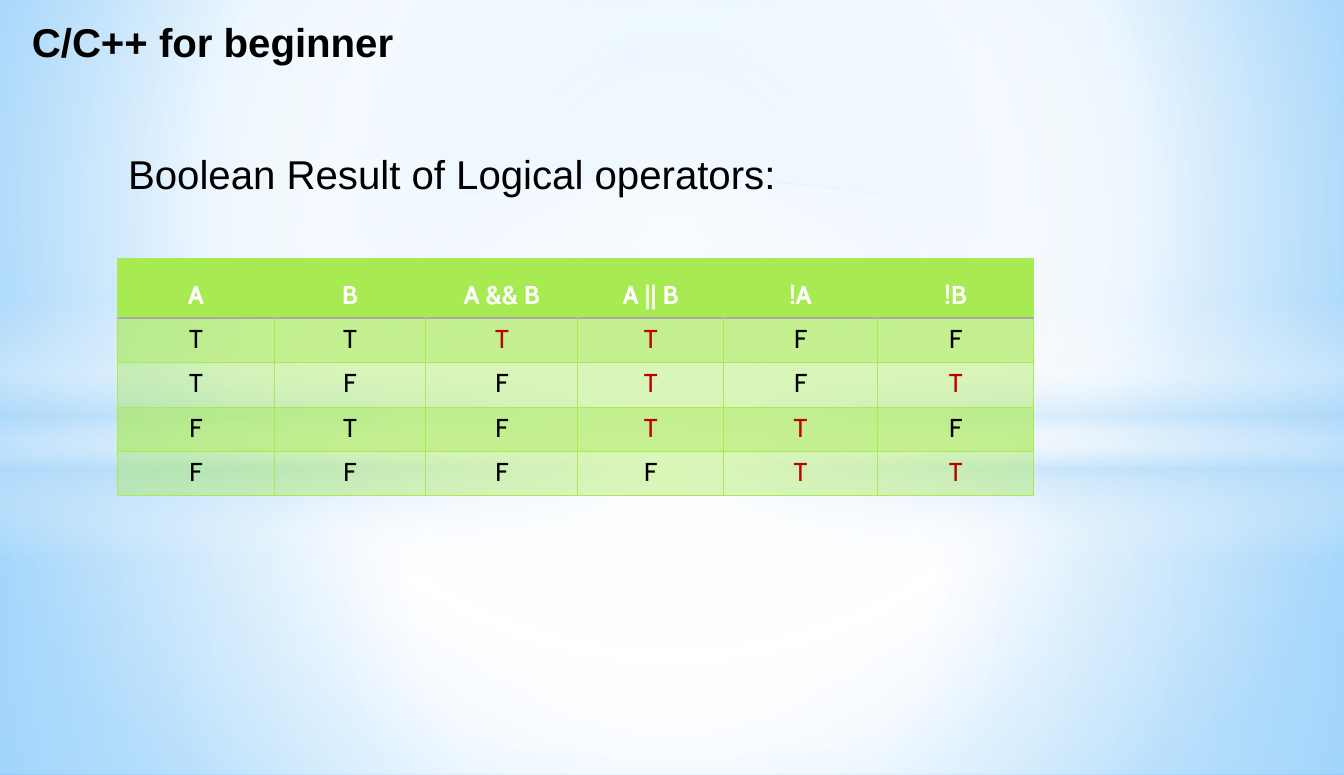
import pptx
import pptx.dml.color
import pptx.enum.shapes
import pptx.enum.text
import pptx.oxml
import pptx.oxml.ns
import pptx.util

Inches = pptx.util.Inches
Pt = pptx.util.Pt
RGBColor = pptx.dml.color.RGBColor
Shape = pptx.enum.shapes.MSO_SHAPE
Align = pptx.enum.text.PP_ALIGN
qn = pptx.oxml.ns.qn
NAMESPACE = pptx.oxml.ns.nsdecls("a")

BLACK = RGBColor(0x00, 0x00, 0x00)
WHITE = RGBColor(0xFF, 0xFF, 0xFF)
RED = RGBColor(0xC0, 0x00, 0x00)
GREEN = RGBColor(0xA7, 0xEA, 0x52)
GREY = RGBColor(0xA9, 0xA9, 0xA9)
SKY = RGBColor(0x9E, 0xD5, 0xFF)
BLUE = RGBColor(0x5B, 0xB9, 0xFF)
HAZE = RGBColor(0xB4, 0xDC, 0xFA)

CENTER = (50, 50, 50, 50)
HEADINGS = ["A", "B", "A && B", "A || B", "!A", "!B"]
TRUTH_ROWS = ["TTTTFF", "TFFTFT", "FTFTTF", "FFFFTT"]
COLUMN_WIDTHS = [1.51, 1.47, 1.47, 1.41, 1.49, 1.51]
HEADER_HEIGHT, ROW_HEIGHT = 0.58, 0.43


def write_text(frame, text, *, font, size, color=BLACK, bold=False,
               align=Align.LEFT, line_spacing=1.0, space_before=0):
    paragraph = frame.paragraphs[0]
    paragraph.alignment = align
    paragraph.line_spacing = line_spacing
    paragraph.space_before = Pt(space_before)
    run = paragraph.add_run()
    run.text = text
    run.font.name = font
    run.font.size = Pt(size)
    run.font.bold = bold
    run.font.color.rgb = color


def gradient(stops, focus=None):
    """Stops are (position, colour, opacity); without a focus it runs downwards."""
    marks = "".join(
        f'<a:gs pos="{pos * 1000}"><a:srgbClr val="{color}">'
        f'<a:alpha val="{opacity * 1000}"/></a:srgbClr></a:gs>'
        for pos, color, opacity in stops)
    if focus:
        sides = " ".join(f'{side}="{value * 1000}"' for side, value in zip("ltrb", focus))
        course = f'<a:path path="circle"><a:fillToRect {sides}/></a:path>'
    else:
        course = '<a:lin ang="5400000" scaled="0"/>'
    return pptx.oxml.parse_xml(
        f'<a:gradFill {NAMESPACE} rotWithShape="1"><a:gsLst>{marks}</a:gsLst>{course}</a:gradFill>')


def border(side, color, width):
    paint = f'<a:solidFill><a:srgbClr val="{color}"/></a:solidFill>' if color else "<a:noFill/>"
    return pptx.oxml.parse_xml(f'<a:ln{side} {NAMESPACE} w="{Pt(width)}">{paint}</a:ln{side}>')


class SlideBuilder:
    text_font = "Arial"
    text_size = 28
    table_font = "Cabin"
    table_size = 18
    border_width = 0.75

    def __init__(self, slide):
        self.slide = slide

    def background(self, stops, focus):
        self.slide.background.fill.solid()
        properties = self.slide.element.find(".//" + qn("p:bgPr"))
        properties.replace(properties.find(qn("a:solidFill")), gradient(stops, focus))

    def glow(self, kind, left, top, width, height, stops, focus=None):
        shape = self.slide.shapes.add_shape(
            kind, Inches(left), Inches(top), Inches(width), Inches(height))
        shape.shadow.inherit = False
        shape.line.fill.background()
        shape.fill.solid()
        properties = shape.element.spPr
        properties.replace(properties.find(qn("a:solidFill")), gradient(stops, focus))

    def text(self, left, top, width, height, text, **style):
        box = self.slide.shapes.add_textbox(
            Inches(left), Inches(top), Inches(width), Inches(height))
        box.text_frame.word_wrap = True
        box.text_frame.auto_size = pptx.enum.text.MSO_AUTO_SIZE.SHAPE_TO_FIT_TEXT
        write_text(box.text_frame, text, font=self.text_font, size=self.text_size, **style)

    def cell(self, cell, text, opacity, borders, **style):
        write_text(cell.text_frame, text, font=self.table_font, size=self.table_size,
                   align=Align.CENTER, **style)
        cell.fill.solid()
        cell.fill.fore_color.rgb = GREEN
        properties = cell._tc.get_or_add_tcPr()
        if opacity < 100:
            properties.find(".//" + qn("a:srgbClr")).append(
                pptx.oxml.parse_xml(f'<a:alpha {NAMESPACE} val="{opacity * 1000}"/>'))
        for index, side in enumerate("LRTB"):
            color, width = borders.get(side, (GREEN, self.border_width))
            properties.insert(index, border(side, color, width))

    def truth_table(self, left, top):
        height = HEADER_HEIGHT + ROW_HEIGHT * len(TRUTH_ROWS)
        table = self.slide.shapes.add_table(
            len(TRUTH_ROWS) + 1, len(HEADINGS), Inches(left), Inches(top),
            Inches(sum(COLUMN_WIDTHS)), Inches(height)).table
        for column, width in zip(table.columns, COLUMN_WIDTHS):
            column.width = Inches(width)
        for index, row in enumerate(table.rows):
            row.height = Inches(ROW_HEIGHT if index else HEADER_HEIGHT)

        # Heading row without inner vertical lines
        rule = (GREY, 1.25)
        hidden = (None, self.border_width)
        last = len(HEADINGS) - 1
        for column, heading in enumerate(HEADINGS):
            borders = {"B": rule}
            if column > 0:
                borders["L"] = hidden
            if column < last:
                borders["R"] = hidden
            self.cell(table.cell(0, column), heading, 100, borders,
                      color=WHITE, bold=True, line_spacing=1.5)

        # Banded value rows; true results are red, operands A and B stay black
        for row, values in enumerate(TRUTH_ROWS, start=1):
            for column, value in enumerate(values):
                is_true_result = column >= 2 and value == "T"
                self.cell(table.cell(row, column), value, 64 if row % 2 else 40,
                          {"T": rule} if row == 1 else {},
                          color=RED if is_true_result else BLACK)


def main():
    presentation = pptx.Presentation()
    presentation.slide_width = Inches(13)
    presentation.slide_height = Inches(7.5)
    builder = SlideBuilder(presentation.slides.add_slide(presentation.slide_layouts[6]))

    # Sky backdrop
    builder.background([(0, SKY, 100), (60, WHITE, 100), (100, BLUE, 100)], (20, 10, 20, 60))
    builder.glow(Shape.RECTANGLE, 0, 4.23, 13, 3.27,
                 [(0, WHITE, 91), (37, WHITE, 76), (100, HAZE, 79)], CENTER)
    builder.glow(Shape.RECTANGLE, 0, 0, 13, 4.23,
                 [(0, WHITE, 89), (48, WHITE, 62), (100, HAZE, 79)], CENTER)
    builder.glow(Shape.RECTANGLE, 0, 2.9, 13, 2.5,
                 [(0, WHITE, 0), (29, WHITE, 30), (45, HAZE, 40),
                  (55, WHITE, 26), (65, HAZE, 60), (100, WHITE, 0)])
    builder.glow(Shape.OVAL, 0, 1.75, 13, 5.58, [(0, WHITE, 100), (54, WHITE, 0)], CENTER)

    # Headings
    builder.text(1.14, 1.16, 10.75, 0.75, "Boolean Result of Logical operators:",
                 line_spacing=1.5, space_before=14)
    builder.text(0.21, 0.12, 4.12, 0.57, "C/C++ for beginner", bold=True)

    # Truth table
    builder.truth_table(1.14, 2.5)

    presentation.save("out.pptx")


if __name__ == "__main__":
    main()
